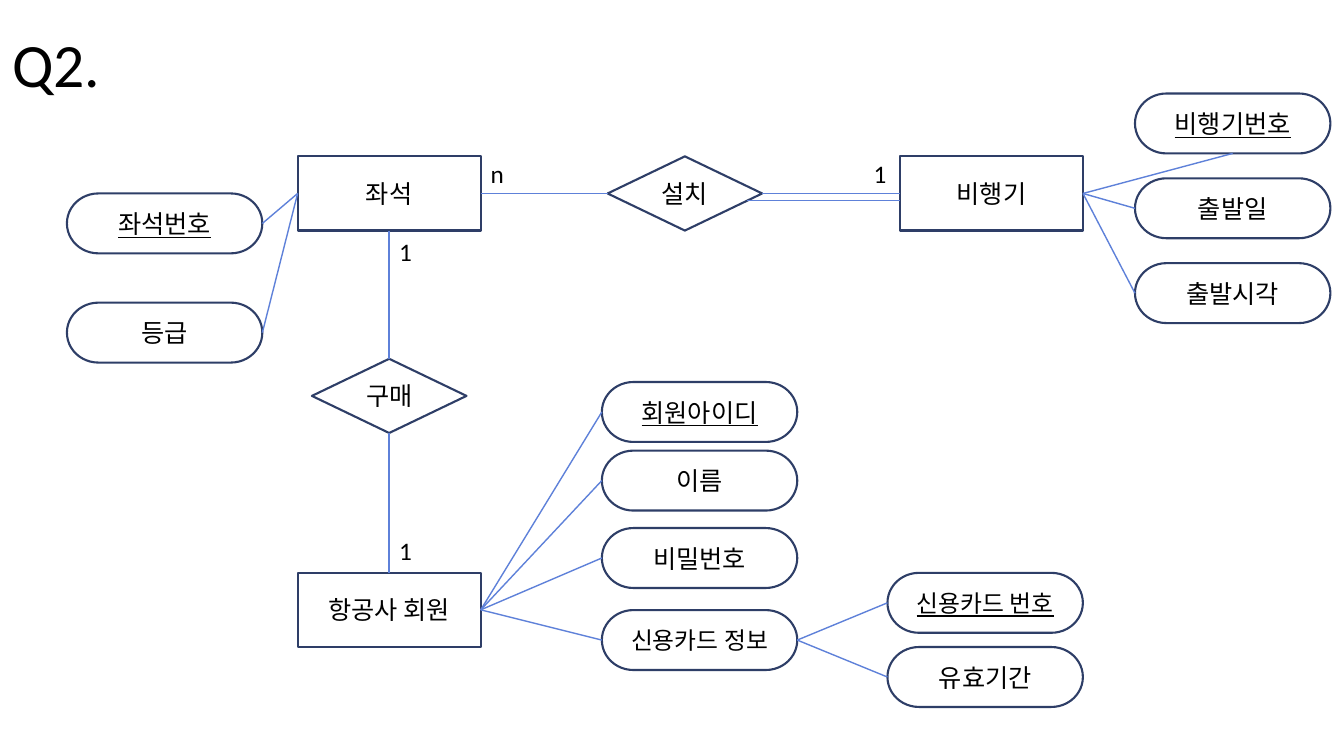
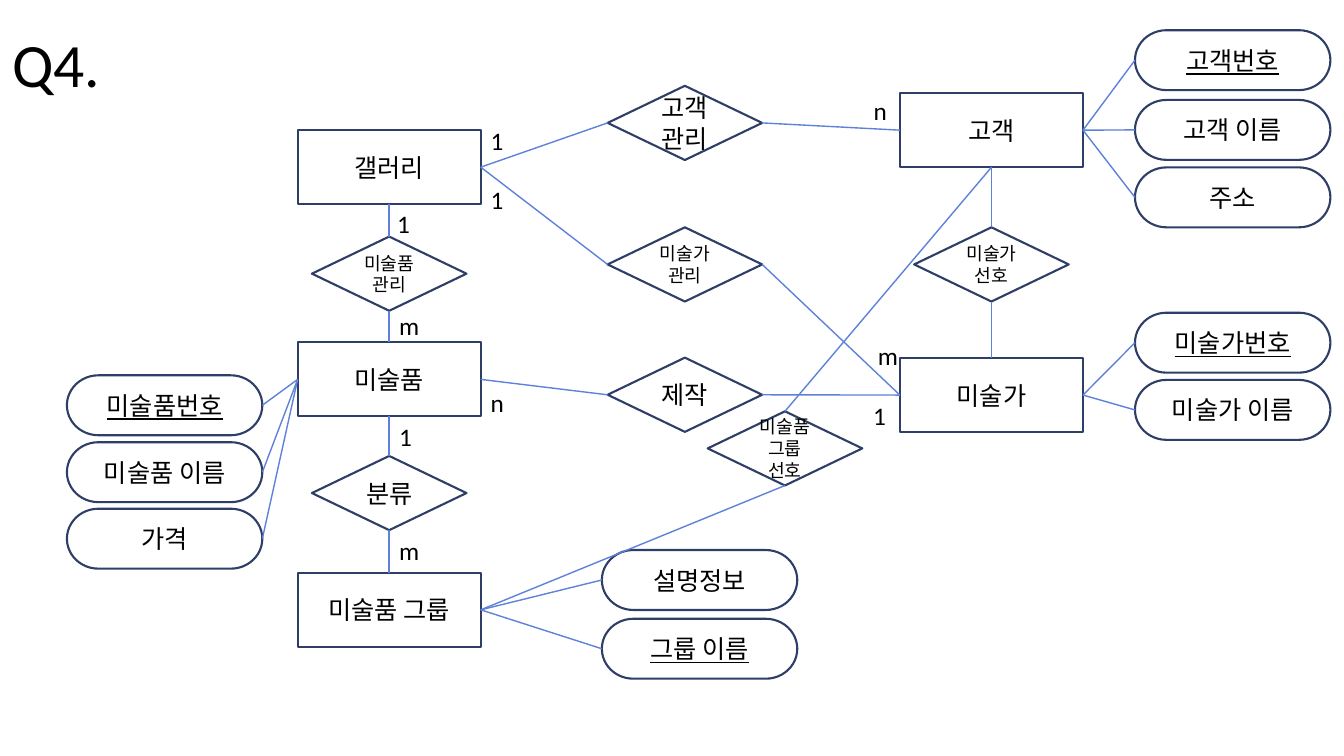
from dataclasses import dataclass

from lxml import etree
from pptx import Presentation
from pptx.dml.color import RGBColor
from pptx.enum import shapes, text
from pptx.util import Pt

BLACK = RGBColor(0x00, 0x00, 0x00)
WHITE = RGBColor(0xFF, 0xFF, 0xFF)
OUTLINE = RGBColor(0x2E, 0x3E, 0x67)
LINK_BLUE = RGBColor(0x5E, 0x81, 0xD9)
FONT = "Calibri"
DRAWING_NS = "http://schemas.openxmlformats.org/drawingml/2006/main"

# Connection sites
TOP, LEFT, BOTTOM, RIGHT = range(4)

# Column centres, in points
ENTITY_LEFT, ENTITY_RIGHT = 278, 708.2
RELATION_MID = 489.2
ATTR_LEFT, ATTR_MID, ATTR_CARD, ATTR_RIGHT = 117.6, 499.7, 703.7, 880.5


@dataclass(frozen=True)
class Kind:
    preset: shapes.MSO_SHAPE
    width: float
    height: float


ENTITY = Kind(shapes.MSO_SHAPE.RECTANGLE, 130.8, 53)
RELATION = Kind(shapes.MSO_SHAPE.FLOWCHART_DECISION, 110.4, 53)
ATTRIBUTE = Kind(shapes.MSO_SHAPE.FLOWCHART_TERMINATOR, 139.6, 42.8)


@dataclass(frozen=True)
class Link:
    """Joins a site of an earlier node to a site of the node that holds it."""
    other: str
    other_site: int
    own_site: int


@dataclass(frozen=True)
class Node:
    kind: Kind
    caption: str
    x: float
    y: float
    links: tuple[Link, ...] = ()
    size: float = 18
    key: bool = False


@dataclass(frozen=True)
class Cardinality:
    caption: str
    left: float
    top: float


@dataclass(frozen=True)
class Diagram:
    title: str
    nodes: list[Node]
    cardinalities: list[Cardinality]
    total_lines: tuple[tuple[float, float, float], ...] = ()  # x1, x2, y


def entity(caption: str, x: float, y: float) -> Node:
    return Node(ENTITY, caption, x, y)


def relation(caption: str, x: float, y: float, *links: Link,
             size: float = 18) -> Node:
    return Node(RELATION, caption, x, y, links, size)


def attribute(owner: str, caption: str, x: float, y: float, *,
              side: int = RIGHT, own_site: int | None = None,
              size: float = 18, key: bool = False) -> Node:
    """An attribute beside its owner, joined at the sides that face."""
    if own_site is None:
        own_site = LEFT if side == RIGHT else RIGHT
    return Node(ATTRIBUTE, caption, x, y, (Link(owner, side, own_site),),
                size, key)


DIAGRAMS = [
    Diagram(
        "Q2.",
        [
            entity("비행기", ENTITY_RIGHT, 138.2),
            entity("좌석", ENTITY_LEFT, 138.2),
            entity("항공사 회원", ENTITY_LEFT, 435.6),
            relation("설치", RELATION_MID, 138.2,
                     Link("좌석", RIGHT, LEFT), Link("비행기", LEFT, RIGHT)),
            relation("구매", ENTITY_LEFT, 282.8,
                     Link("좌석", BOTTOM, TOP), Link("항공사 회원", TOP, BOTTOM)),
            attribute("비행기", "비행기번호", ATTR_RIGHT, 88.2,
                      own_site=BOTTOM, key=True),
            attribute("비행기", "출발일", ATTR_RIGHT, 148.8),
            attribute("비행기", "출발시각", ATTR_RIGHT, 209.4),
            attribute("좌석", "좌석번호", ATTR_LEFT, 159.6, side=LEFT, key=True),
            attribute("좌석", "등급", ATTR_LEFT, 237.6, side=LEFT),
            attribute("항공사 회원", "회원아이디", ATTR_MID, 294.3, key=True),
            attribute("항공사 회원", "이름", ATTR_MID, 343.3),
            attribute("항공사 회원", "비밀번호", ATTR_MID, 398.6),
            attribute("항공사 회원", "신용카드 정보", ATTR_MID, 457.2, size=17),
            attribute("신용카드 정보", "신용카드 번호", ATTR_CARD, 430.6,
                      size=17, key=True),
            attribute("신용카드 정보", "유효기간", ATTR_CARD, 483.6),
        ],
        [
            Cardinality("1", 617, 109.5),
            Cardinality("n", 343.4, 109.5),
            Cardinality("1", 278, 165),
            Cardinality("1", 278, 378.7),
        ],
        total_lines=((533.5, 643, 143.4),),
    ),
    Diagram(
        "Q4.",
        [
            entity("미술가", ENTITY_RIGHT, 282.2),
            entity("미술품", ENTITY_LEFT, 271),
            entity("미술품 그룹", ENTITY_LEFT, 435.6),
            entity("고객", ENTITY_RIGHT, 93),
            entity("갤러리", ENTITY_LEFT, 119.4),
            relation("제작", RELATION_MID, 282,
                     Link("미술품", RIGHT, LEFT), Link("미술가", LEFT, RIGHT)),
            relation("고객관리", RELATION_MID, 87.8,
                     Link("갤러리", RIGHT, LEFT), Link("고객", LEFT, RIGHT)),
            relation("미술가관리", RELATION_MID, 188.9,
                     Link("갤러리", RIGHT, LEFT), Link("미술가", LEFT, RIGHT),
                     size=13),
            relation("미술가 선호", ENTITY_RIGHT, 188.9,
                     Link("고객", BOTTOM, TOP), Link("미술가", TOP, BOTTOM),
                     size=13),
            relation("미술품 그룹 선호", 560.7, 320.3,
                     Link("고객", BOTTOM, TOP),
                     Link("미술품 그룹", RIGHT, BOTTOM), size=13),
            relation("미술품관리", ENTITY_LEFT, 195.5,
                     Link("갤러리", BOTTOM, TOP), Link("미술품", TOP, BOTTOM),
                     size=13),
            relation("분류", ENTITY_LEFT, 352.2,
                     Link("미술품", BOTTOM, TOP),
                     Link("미술품 그룹", TOP, BOTTOM)),
            attribute("고객", "고객번호", ATTR_RIGHT, 43, key=True),
            attribute("고객", "고객 이름", ATTR_RIGHT, 92.8),
            attribute("고객", "주소", ATTR_RIGHT, 141),
            attribute("미술가", "미술가번호", ATTR_RIGHT, 244.8, key=True),
            attribute("미술가", "미술가 이름", ATTR_RIGHT, 292.8),
            attribute("미술품", "미술품번호", ATTR_LEFT, 289.5,
                      side=LEFT, key=True),
            attribute("미술품", "미술품 이름", ATTR_LEFT, 337.3, side=LEFT),
            attribute("미술품", "가격", ATTR_LEFT, 384.8, side=LEFT),
            attribute("미술품 그룹", "설명정보", ATTR_MID, 414.3),
            attribute("미술품 그룹", "그룹 이름", ATTR_MID, 463.4, key=True),
        ],
        [
            Cardinality("1", 616.5, 282.2),
            Cardinality("n", 343.4, 273),
            Cardinality("1", 278, 297.5),
            Cardinality("m", 278, 378.7),
            Cardinality("n", 617, 64.8),
            Cardinality("m", 620, 239.8),
            Cardinality("1", 343.4, 85.7),
            Cardinality("1", 343.4, 128),
            Cardinality("1", 276.5, 145.5),
            Cardinality("m", 278, 218.2),
        ],
    ),
]


def write_text(shape, caption: str, *, size: float = 18,
               align=text.PP_ALIGN.LEFT, anchor=text.MSO_ANCHOR.TOP,
               underline: bool = False) -> None:
    frame = shape.text_frame
    frame.word_wrap = True
    frame.vertical_anchor = anchor
    paragraph = frame.paragraphs[0]
    paragraph.alignment = align
    run = paragraph.add_run()
    run.text = caption
    run.font.name = FONT
    run.font.size = Pt(size)
    run.font.color.rgb = BLACK
    if underline:
        run.font.underline = True


def draw_node(slide, node: Node):
    kind = node.kind
    shape = slide.shapes.add_shape(
        kind.preset, Pt(node.x - kind.width / 2), Pt(node.y - kind.height / 2),
        Pt(kind.width), Pt(kind.height))
    shape.shadow.inherit = False
    shape.fill.solid()
    shape.fill.fore_color.rgb = WHITE
    shape.line.color.rgb = OUTLINE
    shape.line.width = Pt(1.5)
    write_text(shape, node.caption, size=node.size, underline=node.key,
               align=text.PP_ALIGN.CENTER, anchor=text.MSO_ANCHOR.MIDDLE)
    return shape


def draw_line(slide, x1: float = 0, y1: float = 0, x2: float = 0,
              y2: float = 0):
    line = slide.shapes.add_connector(
        shapes.MSO_CONNECTOR.STRAIGHT, Pt(x1), Pt(y1), Pt(x2), Pt(y2))
    line.line.color.rgb = LINK_BLUE
    line.line.width = Pt(1)
    etree.SubElement(line._element.spPr, f"{{{DRAWING_NS}}}effectLst")
    return line


def draw_diagram(slide, diagram: Diagram) -> None:
    write_text(slide.shapes.title, diagram.title, size=44,
               anchor=text.MSO_ANCHOR.MIDDLE)

    # Entities, relationships and attributes
    drawn = {node.caption: draw_node(slide, node) for node in diagram.nodes}

    # Lines between them
    for node in diagram.nodes:
        for link in node.links:
            line = draw_line(slide)
            line.begin_connect(drawn[link.other], link.other_site)
            line.end_connect(drawn[node.caption], link.own_site)

    # Second lines that mark total participation
    for x1, x2, y in diagram.total_lines:
        draw_line(slide, x1, y, x2, y)

    # Cardinalities
    for cardinality in diagram.cardinalities:
        box = slide.shapes.add_textbox(
            Pt(cardinality.left), Pt(cardinality.top), Pt(26), Pt(28.4))
        write_text(box, cardinality.caption)


def main() -> None:
    deck = Presentation()
    deck.slide_width, deck.slide_height = Pt(960), Pt(540)

    # Title position, shared through the layout
    layout = deck.slide_layouts.get_by_name("Title Only")
    heading = layout.placeholders[0]
    heading.left, heading.top = Pt(1.4), Pt(0)
    heading.width, heading.height = Pt(864), Pt(90)

    for diagram in DIAGRAMS:
        draw_diagram(deck.slides.add_slide(layout), diagram)
    deck.save("out.pptx")


if __name__ == "__main__":
    main()
